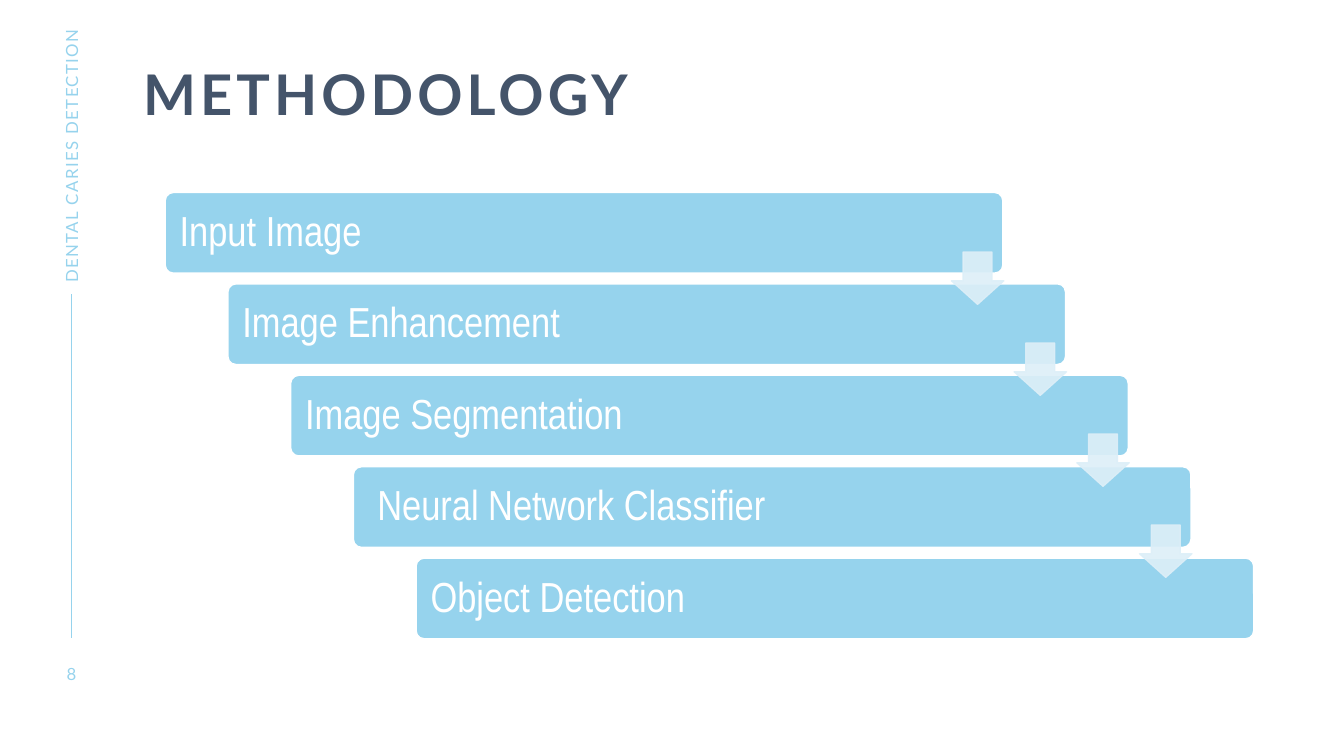
from dataclasses import dataclass

from lxml import etree
from pptx import Presentation
from pptx.dml.color import RGBColor
from pptx.enum import shapes, text
from pptx.oxml.ns import qn
from pptx.util import Pt

SKY, PALE, NAVY, WHITE = "96D3ED", "DDEFF8", "44546A", "FFFFFF"
STEPS = ["Input Image", "Image Enhancement", "Image Segmentation",
         " Neural Network Classifier", "Object Detection"]
SHIFT = 44.8  # each step moves this far right


@dataclass
class Box:
    left: float
    top: float
    width: float
    height: float

    def pts(self) -> list:
        return [Pt(v) for v in (self.left, self.top, self.width, self.height)]


@dataclass
class Type:
    font: str
    size: float
    color: str
    bold: bool = False
    track: float = 0
    line: float = 1.0
    align: text.PP_ALIGN = text.PP_ALIGN.LEFT


def rgb(code: str) -> RGBColor:
    return RGBColor.from_string(code)


def write(shape, words: str, kind: Type, anchor=text.MSO_ANCHOR.MIDDLE,
          inset: float = 0) -> None:
    frame = shape.text_frame
    frame.text = words
    frame.word_wrap = True
    frame.vertical_anchor = anchor
    frame.margin_left = frame.margin_right = Pt(inset)
    frame.margin_top = frame.margin_bottom = Pt(inset)
    para = frame.paragraphs[0]
    para.alignment = kind.align
    para.line_spacing = kind.line
    for run in para.runs:
        font = run.font
        font.name, font.size, font.bold = kind.font, Pt(kind.size), kind.bold
        font.color.rgb = rgb(kind.color)
        if kind.track:
            run._r.get_or_add_rPr().set("spc", str(round(kind.track * 100)))


def draw(slide, form, box: Box, fill: str, edge: str, adjust: list):
    shape = slide.shapes.add_shape(form, *box.pts())
    shape.shadow.inherit = False
    for index, value in enumerate(adjust):
        shape.adjustments[index] = value
    shape.fill.solid()
    shape.fill.fore_color.rgb = rgb(fill)
    shape.line.color.rgb = rgb(edge)
    shape.line.width = Pt(1)
    return shape


def fade(shape, percent: int) -> None:
    """Set the opacity of the fill and the outline."""
    for color in shape._element.spPr.iter(qn("a:srgbClr")):
        etree.SubElement(color, qn("a:alpha")).set("val", str(percent * 1000))


def label(slide, box: Box, words: str, kind: Type, **more):
    shape = slide.shapes.add_textbox(*box.pts())
    write(shape, words, kind, **more)
    return shape


def rule(slide, x: float, top: float, bottom: float) -> None:
    """Draw the upright line in the side margin."""
    line = slide.shapes.add_connector(
        shapes.MSO_CONNECTOR.STRAIGHT, Pt(x), Pt(top), Pt(x), Pt(bottom))
    line.line.color.rgb = rgb(SKY)
    line.line.width = Pt(1)
    etree.SubElement(line._element.spPr, qn("a:effectLst"))


def stairs(slide) -> None:
    """Draw the step bars, then the arrows that join them."""
    kind = Type("Arial Narrow", 30, WHITE, line=0.9)
    for i, words in enumerate(STEPS):
        box = Box(118 + i * SHIFT, 137.5 + i * 65.3, 598.3, 57.6)
        bar = draw(slide, shapes.MSO_SHAPE.ROUNDED_RECTANGLE, box,
                   SKY, WHITE, [0.1])
        write(bar, words, kind, inset=8.64)
    for i in range(len(STEPS) - 1):
        box = Box(679.6 + i * SHIFT, 180 + i * 65, 37.4, 37.4)
        fade(draw(slide, shapes.MSO_SHAPE.DOWN_ARROW, box,
                  PALE, PALE, [0.55, 0.45]), 90)


def main() -> None:
    deck = Presentation()
    deck.slide_width, deck.slide_height = Pt(960), Pt(540)
    slide = deck.slides.add_slide(deck.slide_layouts[6])
    rule(slide, 51.1, 210.2, 455.8)
    label(slide, Box(102.2, 48.2, 792, 72), "METHODOLOGY",
          Type("Lato", 40, NAVY, bold=True, track=3, line=0.9),
          anchor=text.MSO_ANCHOR.TOP)
    stairs(slide)
    side = label(slide, Box(-45, 97.8, 192.2, 16), "DENTAL CARIES DETECTION",
                 Type("Lato", 12, SKY, track=1))
    side.rotation = 270
    label(slide, Box(33.1, 473.8, 36, 14.4), "8",
          Type("Lato", 12, SKY, track=2, align=text.PP_ALIGN.CENTER))
    deck.save("out.pptx")


if __name__ == "__main__":
    main()
